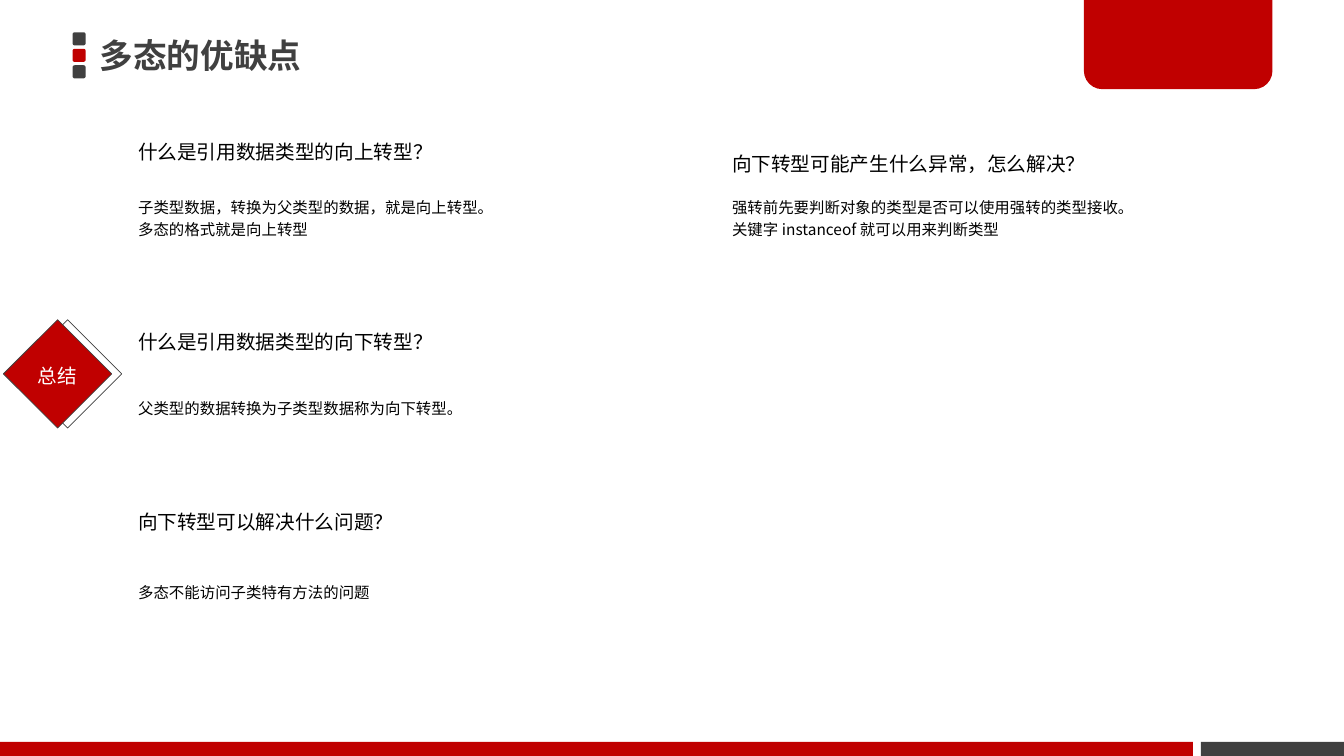
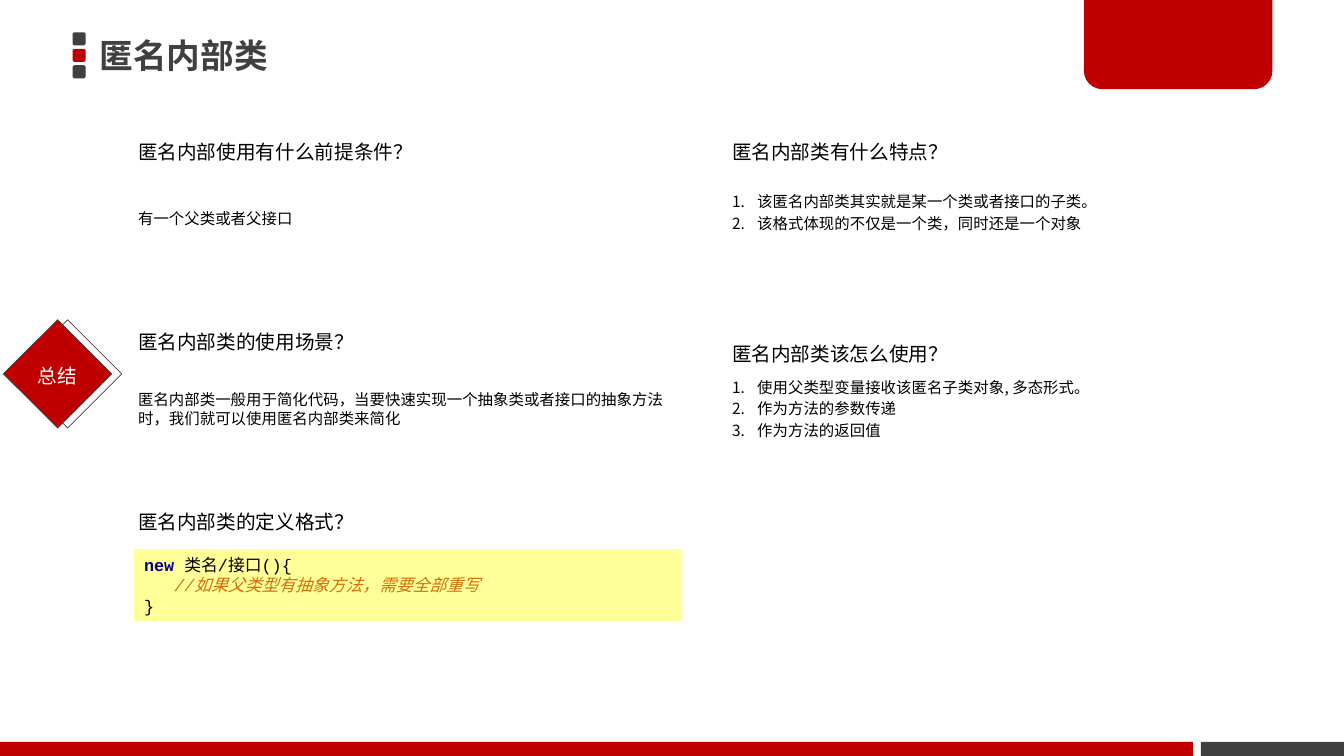
from dataclasses import dataclass

from lxml import etree
from pptx import Presentation
from pptx.dml.color import RGBColor
from pptx.enum.shapes import MSO_SHAPE
from pptx.enum.text import MSO_ANCHOR, PP_ALIGN
from pptx.oxml.ns import qn
from pptx.util import Inches, Pt

RECTANGLE = MSO_SHAPE.RECTANGLE
ROUNDED = MSO_SHAPE.ROUNDED_RECTANGLE
ROUND_PAIR = MSO_SHAPE.ROUND_2_SAME_RECTANGLE
TOP, MIDDLE = MSO_ANCHOR.TOP, MSO_ANCHOR.MIDDLE
LEFT, CENTER = PP_ALIGN.LEFT, PP_ALIGN.CENTER
SLIDE_WIDTH, SLIDE_HEIGHT = Inches(13.33), Inches(7.5)


@dataclass(frozen=True)
class Theme:
    """Colours, fonts, type sizes (points) and text spacing of the deck."""
    red: str = "C00000"
    grey: str = "404040"
    white: str = "FFFFFF"
    black: str = "000000"
    code_fill: str = "FFFF99"
    keyword: str = "000080"
    remark: str = "D27009"
    font: str = "Noto Sans CJK JP"
    title_font: str = "Noto Sans CJK SC"
    code_font: str = "Courier New"
    code_wide_font: str = "DejaVu Sans Mono"
    title_size: int = 24
    question_size: int = 14
    answer_size: int = 11
    code_size: int = 12
    space_share: float = 0.2
    list_indent: int = 18
    code_indent: float = 21.6


THEME = Theme()


@dataclass(frozen=True)
class Box:
    """A rectangle in percent of the slide's width and height."""
    left: float
    top: float
    width: float
    height: float

    def lengths(self) -> tuple[int, int, int, int]:
        """Return left, top, width and height as slide lengths."""
        return (int(SLIDE_WIDTH * self.left / 100), int(SLIDE_HEIGHT * self.top / 100),
                int(SLIDE_WIDTH * self.width / 100), int(SLIDE_HEIGHT * self.height / 100))


@dataclass(frozen=True)
class Run:
    """A stretch of text in one style."""
    text: str
    size: int
    color: str = THEME.black
    font: str = THEME.font
    bold: bool = False
    italic: bool = False


@dataclass(frozen=True)
class Line:
    """A paragraph made of runs."""
    runs: tuple[Run, ...]
    spacing: float = 1.0
    before: float = 0
    align: PP_ALIGN = LEFT
    indent: float = 0
    numbered: bool = False


@dataclass(frozen=True)
class Card:
    """A question and its answer, placed by grid column and row."""
    column: int
    row: int
    question: str
    answer: tuple[str, ...] = ()
    numbered: bool = False
    spacing: float = 1.5
    answer_shift: float = 0


@dataclass(frozen=True)
class Page:
    """The content of one summary slide."""
    title: str
    title_font: str
    cards: tuple[Card, ...]
    code: tuple[Line, ...] = ()


COLUMNS = (9.75, 53.94)
ROWS = (16.4, 41.6, 65.4)
CARD_WIDTH = 40.95
QUESTION_HEIGHT = 7.6
ANSWER_OFFSET = 7.33
ANSWER_HEIGHT = 10.27
TITLE_BOX = Box(6.9, 3.47, 71.94, 7.6)
CODE_BOX = Box(9.98, 72.67, 40.8, 9.47)
BADGE_BOX = Box(0.23, 47.2, 8.03, 5.33)
TAB_BOX = Box(80.65, -0.4, 14.03, 12.2)
FOOTERS = ((Box(0, 98.13, 88.75, 1.87), THEME.red),
           (Box(89.35, 98.13, 10.65, 1.87), THEME.grey))
MARKER_TOP, MARKER_PITCH = 4.27, 2.18
MARKER_COLORS = (THEME.grey, THEME.red, THEME.grey)
DIAMONDS = ((2.18, None), (1.43, THEME.red))


def add_block(slide, kind: MSO_SHAPE, box: Box, fill: str | None, line: str | None = None):
    """Draw a preset shape with an optional fill and thin outline."""
    shape = slide.shapes.add_shape(kind, *box.lengths())
    shape.shadow.inherit = False
    if fill:
        shape.fill.solid()
        shape.fill.fore_color.rgb = RGBColor.from_string(fill)
    else:
        shape.fill.background()
    if line:
        shape.line.color.rgb = RGBColor.from_string(line)
        shape.line.width = Pt(0.5)
    else:
        shape.line.fill.background()
    return shape


def add_run(paragraph, style: Run) -> None:
    """Add one run, with the same font for Latin and East Asian text."""
    run = paragraph.add_run()
    run.text = style.text
    font = run.font
    font.size, font.bold, font.italic = Pt(style.size), style.bold, style.italic
    font.color.rgb = RGBColor.from_string(style.color)
    font.name = style.font
    etree.SubElement(run._r.get_or_add_rPr(), qn("a:ea"), typeface=style.font)


def fill_text(frame, lines: tuple[Line, ...], anchor: MSO_ANCHOR) -> None:
    """Write lines into a text frame."""
    frame.word_wrap = True
    frame.vertical_anchor = anchor
    for index, line in enumerate(lines):
        paragraph = frame.add_paragraph() if index else frame.paragraphs[0]
        paragraph.alignment = line.align
        paragraph.line_spacing = line.spacing
        paragraph.space_before = Pt(line.before)
        properties = paragraph._p.get_or_add_pPr()
        if line.indent:
            properties.set("marL", str(Pt(line.indent)))
        if line.numbered:
            properties.set("indent", str(-Pt(line.indent)))
            etree.SubElement(properties, qn("a:buAutoNum"), type="arabicPeriod")
        for run in line.runs:
            add_run(paragraph, run)


def add_text(slide, box: Box, lines: tuple[Line, ...], anchor: MSO_ANCHOR = MIDDLE) -> None:
    """Add a text box with the deck's narrow margins."""
    frame = slide.shapes.add_textbox(*box.lengths()).text_frame
    frame.margin_left = frame.margin_right = Inches(0.07)
    frame.margin_top = frame.margin_bottom = Inches(0.04)
    fill_text(frame, lines, anchor)


def add_frame(slide) -> None:
    """Draw the markers, corner tab, footer bands and summary badge."""
    for index, color in enumerate(MARKER_COLORS):
        add_block(slide, ROUNDED, Box(5.4, MARKER_TOP + index * MARKER_PITCH, 0.98, 1.74), color)
    tab = add_block(slide, ROUND_PAIR, TAB_BOX, THEME.red)
    tab.adjustments[0], tab.adjustments[1] = 0, 0.2
    for box, color in FOOTERS:
        add_block(slide, RECTANGLE, box, color)
    for left, color in DIAMONDS:
        add_block(slide, RECTANGLE, Box(left, 44.4, 5.7, 10.13), color, THEME.grey).rotation = 45
    label = Run("总结", THEME.question_size, THEME.white)
    add_text(slide, BADGE_BOX, (Line((label,), spacing=0.9, align=CENTER),))


def add_card(slide, card: Card) -> None:
    """Write a question with its answer below."""
    left, top = COLUMNS[card.column], ROWS[card.row]
    question = Line((Run(card.question, THEME.question_size),), card.spacing,
                    THEME.question_size * THEME.space_share)
    add_text(slide, Box(left, top, CARD_WIDTH, QUESTION_HEIGHT), (question,), TOP)
    if card.answer:
        indent = THEME.list_indent if card.numbered else 0
        answer = tuple(Line((Run(text, THEME.answer_size),), indent=indent,
                            before=THEME.answer_size * THEME.space_share,
                            numbered=card.numbered) for text in card.answer)
        answer_top = top + ANSWER_OFFSET + card.answer_shift
        add_text(slide, Box(left, answer_top, CARD_WIDTH, ANSWER_HEIGHT), answer)


def add_page(presentation, page: Page) -> None:
    """Build one summary slide."""
    slide = presentation.slides.add_slide(presentation.slide_layouts[6])
    add_frame(slide)
    for card in page.cards:
        add_card(slide, card)
    title = Run(page.title, THEME.title_size, THEME.grey, page.title_font, bold=True)
    add_text(slide, TITLE_BOX, (Line((title,)),))
    if page.code:
        panel = add_block(slide, RECTANGLE, CODE_BOX, THEME.code_fill)
        fill_text(panel.text_frame, page.code, MIDDLE)


def code_run(text: str, color: str = THEME.black, font: str = THEME.code_font,
             bold: bool = False, italic: bool = False) -> Run:
    """Return a run in the code style."""
    return Run(text, THEME.code_size, color, font, bold, italic)


CLASS_FORMAT = (
    Line((code_run("new ", THEME.keyword, bold=True),
          code_run("类名", font=THEME.code_wide_font), code_run("/"),
          code_run("接口", font=THEME.code_wide_font), code_run("(){"))),
    Line((code_run("//如果父类型有抽象方法，需要全部重写", THEME.remark, italic=True),),
         indent=THEME.code_indent),
    Line((code_run("}"),)),
)

PAGES = (
    Page("多态的优缺点", THEME.title_font, (
        Card(0, 0, "什么是引用数据类型的向上转型？",
             ("子类型数据，转换为父类型的数据，就是向上转型。", "多态的格式就是向上转型")),
        Card(1, 0, "向下转型可能产生什么异常，怎么解决？",
             ("强转前先要判断对象的类型是否可以使用强转的类型接收。",
              "关键字 instanceof 就可以用来判断类型"), spacing=2),
        Card(0, 1, "什么是引用数据类型的向下转型？",
             ("父类型的数据转换为子类型数据称为向下转型。",)),
        Card(0, 2, "向下转型可以解决什么问题？",
             ("多态不能访问子类特有方法的问题",), answer_shift=0.5),
    )),
    Page("匿名内部类", THEME.font, (
        Card(0, 0, "匿名内部使用有什么前提条件？", ("有一个父类或者父接口",)),
        Card(1, 0, "匿名内部类有什么特点？",
             ("该匿名内部类其实就是某一个类或者接口的子类。",
              "该格式体现的不仅是一个类，同时还是一个对象"), numbered=True, answer_shift=-0.8),
        Card(0, 1, "匿名内部类的使用场景？",
             ("匿名内部类一般用于简化代码，当要快速实现一个抽象类或者接口的抽象方法时，"
              "我们就可以使用匿名内部类来简化",)),
        Card(1, 1, "匿名内部类该怎么使用？",
             ("使用父类型变量接收该匿名子类对象, 多态形式。", "作为方法的参数传递",
              "作为方法的返回值"), numbered=True, spacing=2),
        Card(0, 2, "匿名内部类的定义格式？"),
    ), CLASS_FORMAT),
)


def main() -> None:
    """Build and save the deck."""
    presentation = Presentation()
    presentation.slide_width, presentation.slide_height = SLIDE_WIDTH, SLIDE_HEIGHT
    for page in PAGES:
        add_page(presentation, page)
    presentation.save("out.pptx")


main()
